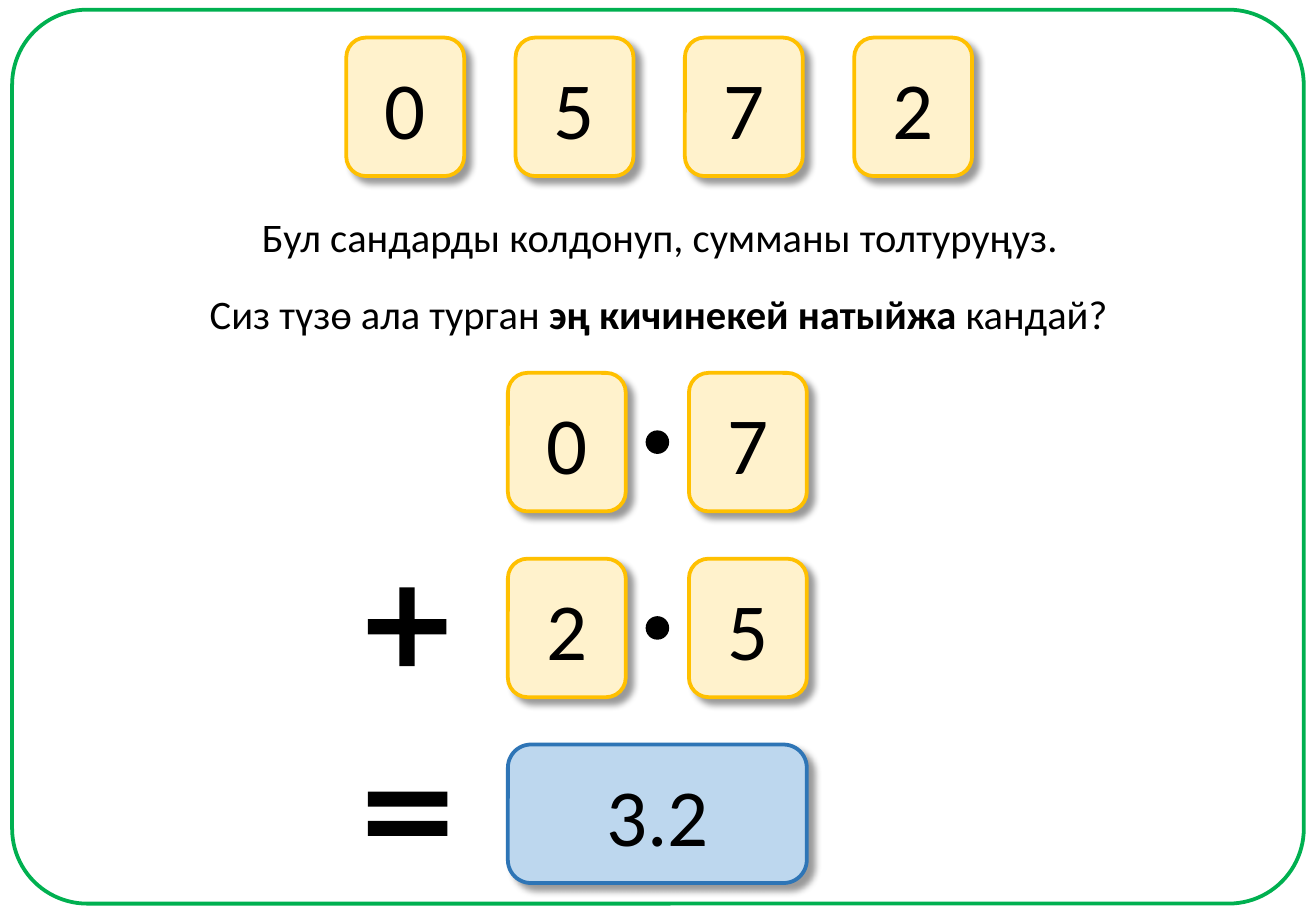
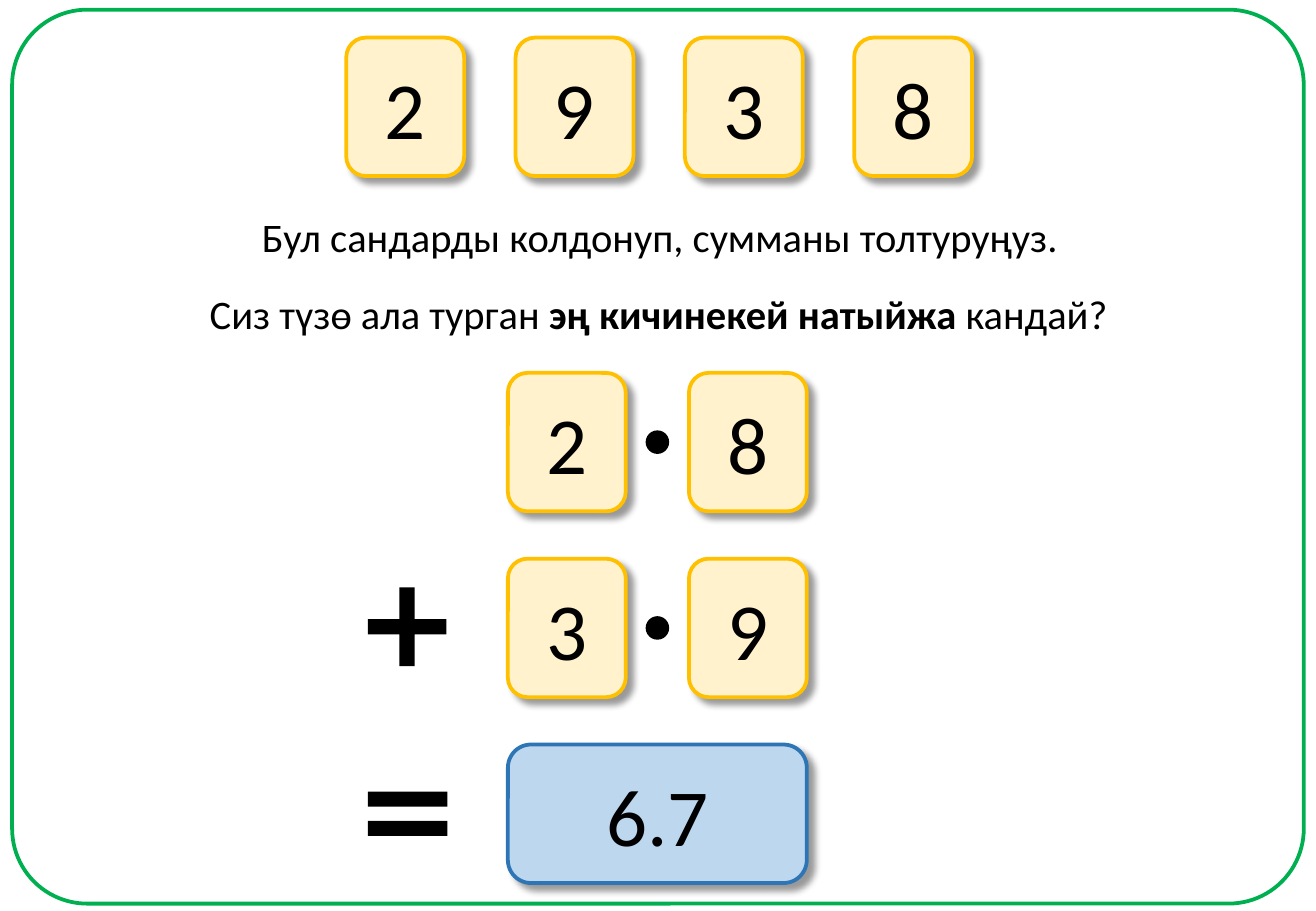
from dataclasses import dataclass

from lxml.etree import SubElement
from pptx import Presentation
from pptx.dml.color import RGBColor
from pptx.enum.shapes import MSO_SHAPE as Preset
from pptx.enum.text import MSO_ANCHOR as Anchor, MSO_AUTO_SIZE as AutoSize, PP_ALIGN as Align
from pptx.oxml.ns import qn
from pptx.util import Inches, Pt


@dataclass(frozen=True)
class Theme:
    font: str = "Calibri"
    ink: str = "000000"
    frame: str = "00B050"
    card_fill: str = "FFF2CC"
    card_line: str = "FFC000"
    answer_fill: str = "BDD7EE"
    answer_line: str = "2E75B6"
    prompt_size: float = 24
    digit_size: float = 48
    outline: float = 2.25
    dot_outline: float = 1


THEME = Theme()

CARD_WIDTH, CARD_HEIGHT = 0.97, 1.14
CARDS_TOP, CARDS_LEFT, CARDS_STEP = 0.31, 2.85, 4.18 / 3
SUM_LEFT, SUM_TOP, SUM_STEP = 4.18, 3.07, 1.53
TENTHS_LEFT = 5.67
SUM_WIDTH = TENTHS_LEFT + CARD_WIDTH - SUM_LEFT
DOT_SIZE = 0.18
DOT_LEFT = SUM_LEFT + (SUM_WIDTH - DOT_SIZE) / 2
DOT_DROP = 0.48

PROMPTS = [
    ((2.02, 1.7, 6.82, 0.5), [("Бул сандарды колдонуп, сумманы толтуруңуз.", False)]),
    ((1.59, 2.33, 7.66, 0.5), [
        ("Сиз түзө ала турган ", False),
        ("эң кичинекей натыйжа ", True),
        ("кандай?", False),
    ]),
]

PUZZLES = [
    ("0572", ["07", "25"], "3.2"),
    ("2938", ["28", "39"], "6.7"),
]


def color(value):
    return RGBColor.from_string(value)


def add_figure(page, preset, area, fill=None, line=None, width=THEME.outline, adjust=()):
    figure = page.shapes.add_shape(preset, *map(Inches, area))
    figure.shadow.inherit = False
    for index, value in enumerate(adjust):
        figure.adjustments[index] = value
    if fill:
        figure.fill.solid()
        figure.fill.fore_color.rgb = color(fill)
    else:
        figure.fill.background()
    if line:
        figure.line.color.rgb = color(line)
        figure.line.width = Pt(width)
    else:
        figure.line.fill.background()
    return figure


def add_shadow(figure):
    effects = figure._element.spPr.find(qn("a:effectLst"))
    shadow = SubElement(effects, qn("a:outerShdw"), blurRad=str(Pt(4)), dist=str(Pt(5)),
                        dir="2700000", algn="tl", rotWithShape="0")
    shade = SubElement(shadow, qn("a:srgbClr"), val=THEME.ink)
    SubElement(shade, qn("a:alpha"), val="40000")


def add_spans(para, spans, size):
    para.alignment = Align.CENTER
    for text, bold in spans:
        span = para.add_run()
        span.text = text
        span.font.name = THEME.font
        span.font.size = Pt(size)
        span.font.bold = bold
        span.font.color.rgb = color(THEME.ink)


def add_card(page, text, left, top, width=CARD_WIDTH,
             fill=THEME.card_fill, line=THEME.card_line):
    card = add_figure(page, Preset.ROUNDED_RECTANGLE, (left, top, width, CARD_HEIGHT), fill, line)
    add_shadow(card)
    frame = card.text_frame
    frame.vertical_anchor = Anchor.MIDDLE
    frame.margin_left = frame.margin_right = Inches(0.11)
    add_spans(frame.paragraphs[0], [(text, False)], THEME.digit_size)


def add_prompt(page, area, spans):
    box = page.shapes.add_textbox(*map(Inches, area))
    box.text_frame.word_wrap = False
    box.text_frame.auto_size = AutoSize.SHAPE_TO_FIT_TEXT
    add_spans(box.text_frame.paragraphs[0], spans, THEME.prompt_size)


def add_decimal(page, digits, top):
    for digit, left in zip(digits, (SUM_LEFT, TENTHS_LEFT)):
        add_card(page, digit, left, top)
    add_figure(page, Preset.OVAL, (DOT_LEFT, top + DOT_DROP, DOT_SIZE, DOT_SIZE),
               THEME.ink, THEME.ink, THEME.dot_outline)


def add_puzzle(deck, digits, terms, answer):
    page = deck.slides.add_slide(deck.slide_layouts[6])
    add_figure(page, Preset.ROUNDED_RECTANGLE, (0.1, 0.08, 10.63, 7.36),
               line=THEME.frame, adjust=[0.084])
    for area, spans in PROMPTS:
        add_prompt(page, area, spans)
    for index, digit in enumerate(digits):
        add_card(page, digit, CARDS_LEFT + index * CARDS_STEP, CARDS_TOP)
    for row, term in enumerate(terms):
        add_decimal(page, term, SUM_TOP + row * SUM_STEP)
    add_card(page, answer, SUM_LEFT, SUM_TOP + len(terms) * SUM_STEP, SUM_WIDTH,
             THEME.answer_fill, THEME.answer_line)
    add_figure(page, Preset.MATH_PLUS, (2.91, 4.72, 0.88, 0.88), THEME.ink, adjust=[0.144])
    add_figure(page, Preset.MATH_EQUAL, (2.91, 6.2, 0.89, 1), THEME.ink, adjust=[0.123, 0.118])


def main():
    deck = Presentation()
    deck.slide_width, deck.slide_height = Inches(10.83), Inches(7.5)
    for puzzle in PUZZLES:
        add_puzzle(deck, *puzzle)
    deck.save("out.pptx")


if __name__ == "__main__":
    main()
